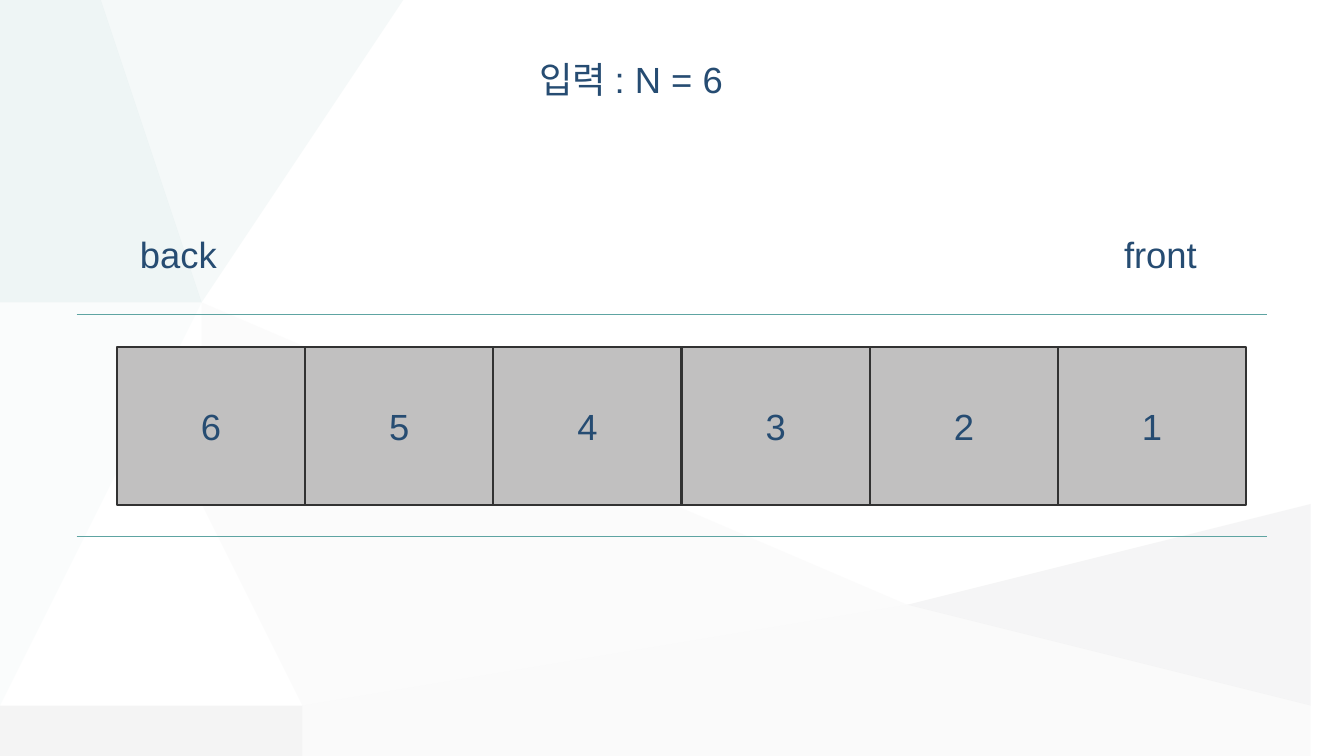
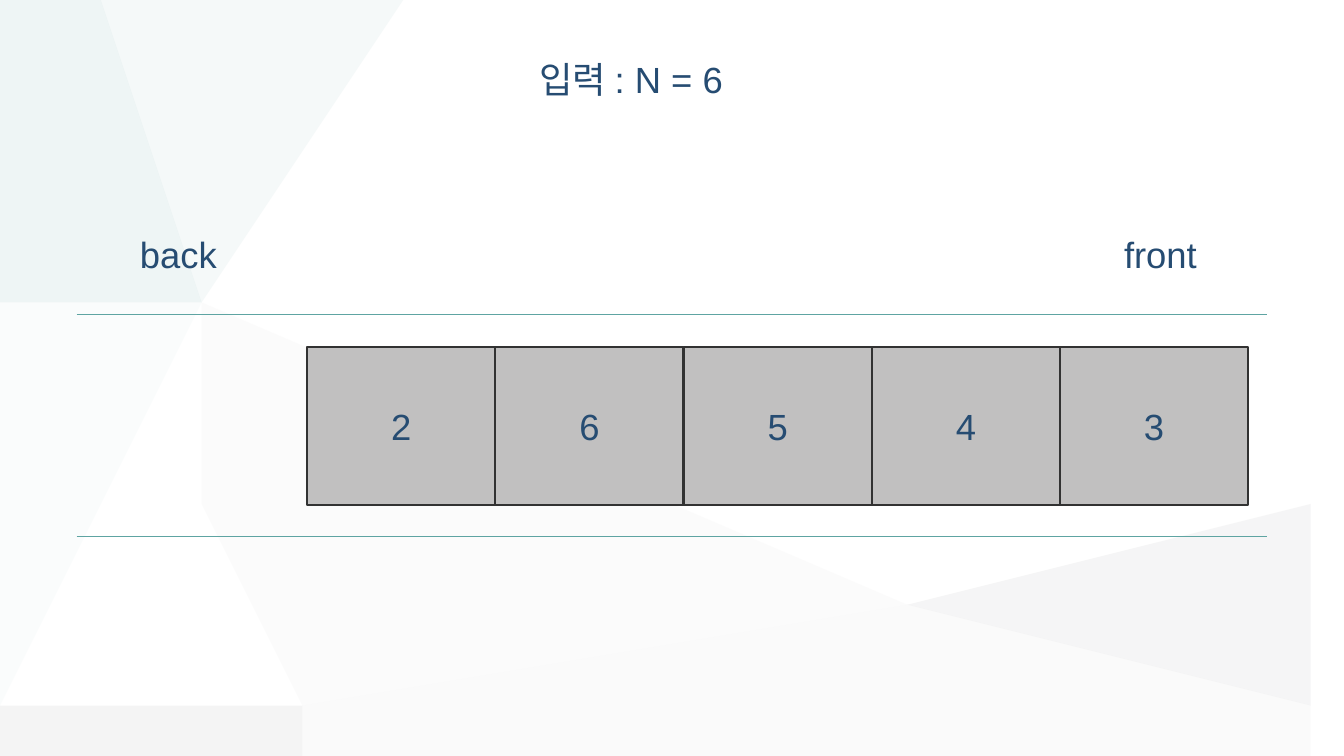
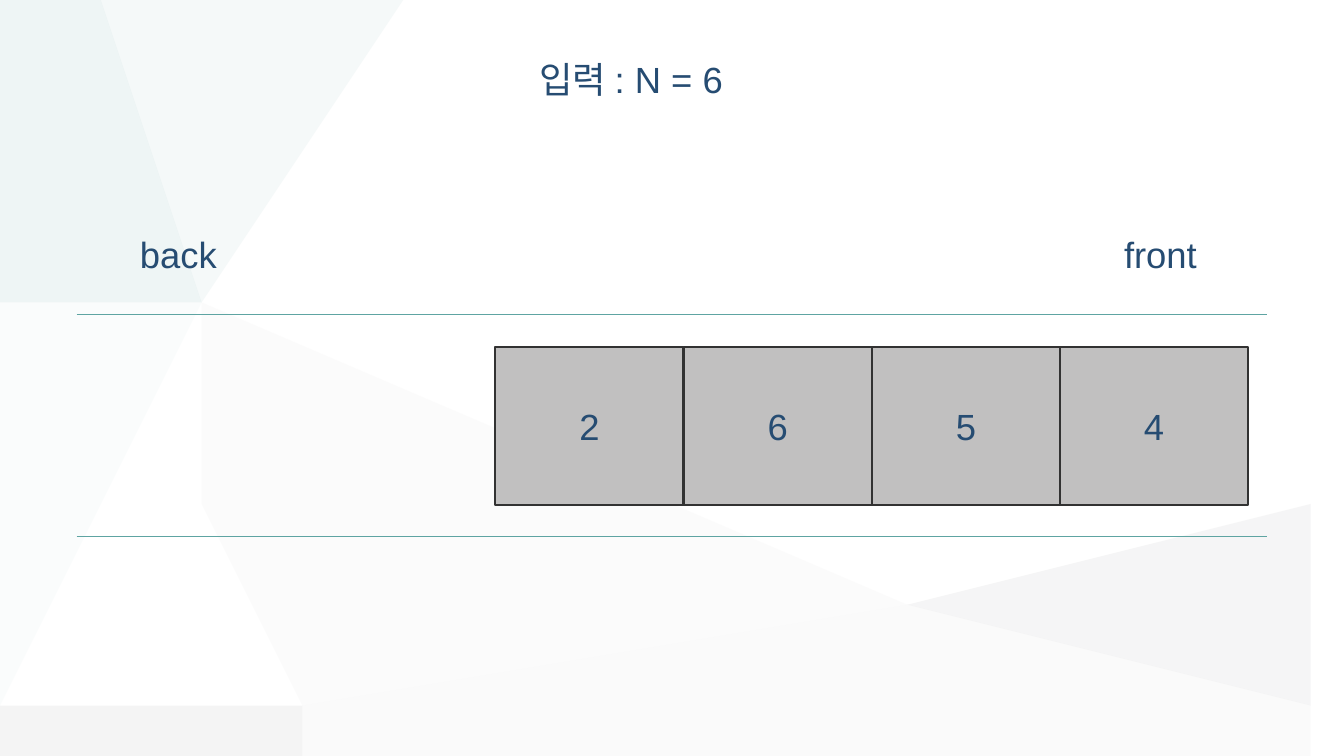
from pptx import Presentation
from pptx.dml.color import RGBColor
from pptx.enum.shapes import MSO_CONNECTOR as CONN, MSO_SHAPE as SHAPE
from pptx.enum.text import MSO_ANCHOR as ANCHOR, MSO_AUTO_SIZE as FIT, PP_ALIGN as ALIGN
from pptx.oxml.ns import qn
from pptx.util import Inches, Pt
from lxml.etree import SubElement

INK, CELL, EDGE, RAIL = "264C72", "C1C0C0", "323232", "5EA4A2"
FONT, SIZE = "Arial", 26
CELL_W, CELL_H, CELL_TOP = 11.2 / 6, 1.57, 3.44
FACETS = [
    ("F3F2F2", 26, [(1.9, 3.44), (2.41, 5.02), (3.04, 6.76), (8.79, 5.85)]),
    ("B6B8BA", 15, [(3.04, 6.76), (0, 7.25), (0, 7.5), (3.37, 7.5)]),
    ("E0EDED", 31, [(3.58, 0), (0.62, 0), (1.86, 3.43)]),
    ("C6C8CA", 17, [(13.33, 5.14), (8.79, 5.85), (13.33, 7.3)]),
    ("B6B8BA", 6, [(8.79, 5.85), (3.05, 6.76), (3.37, 7.5), (13.33, 7.5), (13.33, 7.29)]),
    ("C1DBDB", 27, [(0.64, 0), (0, 0), (0, 2.79), (1.87, 3.43)]),
    ("C1DBDB", 8, [(0, 2.79), (0, 7.3), (1.87, 3.43)]),
]
QUEUES = [("654321", 12.36), ("26543", 12.38), ("2654", 12.38)]


def rgb(color):
    return RGBColor.from_string(color)


class Deck:
    def __init__(self):
        self.prs = Presentation()
        self.prs.slide_width = Inches(13.33)
        self.prs.slide_height = Inches(7.5)
        self.layout = self.prs.slide_layouts[5]
        self.s = None

    def slide(self):
        self.s = self.prs.slides.add_slide(self.layout)

    def backdrop(self):
        for color, alpha, points in FACETS:
            fb = self.s.shapes.build_freeform(*points[0], scale=Inches(1))
            fb.add_line_segments(points[1:], close=True)
            sp = fb.convert_to_shape()
            sp.shadow.inherit = False
            sp.line.fill.background()
            sp.fill.solid()
            sp.fill.fore_color.rgb = rgb(color)
            clr = sp.element.spPr.find(qn("a:solidFill"))[0]
            SubElement(clr, qn("a:alpha")).set("val", str(alpha * 1000))
            self.layout.shapes.element.append(sp.element)

    def text(self, sp, text, align=ALIGN.LEFT, anchor=ANCHOR.TOP):
        tf = sp.text_frame
        tf.vertical_anchor = anchor
        p = tf.paragraphs[0]
        p.alignment = align
        r = p.add_run()
        r.text = text
        r.font.name = FONT
        r.font.size = Pt(SIZE)
        r.font.color.rgb = rgb(INK)
        return tf

    def title(self, text):
        sp = self.s.shapes.title
        sp.left, sp.top = Inches(5.25), Inches(0.52)
        sp.width, sp.height = Inches(2.83), Inches(0.54)
        self.text(sp, text).auto_size = FIT.SHAPE_TO_FIT_TEXT

    def label(self, text, x, w):
        sp = self.s.shapes.add_textbox(Inches(x), Inches(2.25), Inches(w), Inches(0.54))
        tf = self.text(sp, text)
        tf.word_wrap = False
        tf.auto_size = FIT.SHAPE_TO_FIT_TEXT

    def rail(self, y):
        c = self.s.shapes.add_connector(
            CONN.STRAIGHT, Inches(0.76), Inches(y), Inches(12.57), Inches(y))
        c.line.color.rgb = rgb(RAIL)
        c.line.width = Pt(0.75)
        SubElement(c.element.spPr, qn("a:effectLst"))

    def cell(self, text, x):
        sp = self.s.shapes.add_shape(
            SHAPE.RECTANGLE, Inches(x), Inches(CELL_TOP), Inches(CELL_W), Inches(CELL_H))
        sp.shadow.inherit = False
        sp.fill.solid()
        sp.fill.fore_color.rgb = rgb(CELL)
        sp.line.color.rgb = rgb(EDGE)
        sp.line.width = Pt(1.5)
        self.text(sp, text, ALIGN.CENTER, ANCHOR.MIDDLE)

    def queue(self, cards, right):
        left = right - len(cards) * CELL_W
        for i, card in enumerate(cards):
            self.cell(card, left + i * CELL_W)


def main():
    deck = Deck()
    for i, (cards, right) in enumerate(QUEUES):
        deck.slide()
        if i == 0:
            deck.backdrop()
        deck.title("입력 : N = 6")
        deck.label("back", 1.29, 1)
        deck.label("front", 11.05, 0.97)
        for y in (3.12, 5.32):
            deck.rail(y)
        deck.queue(cards, right)
    deck.prs.save("out.pptx")


if __name__ == "__main__":
    main()
